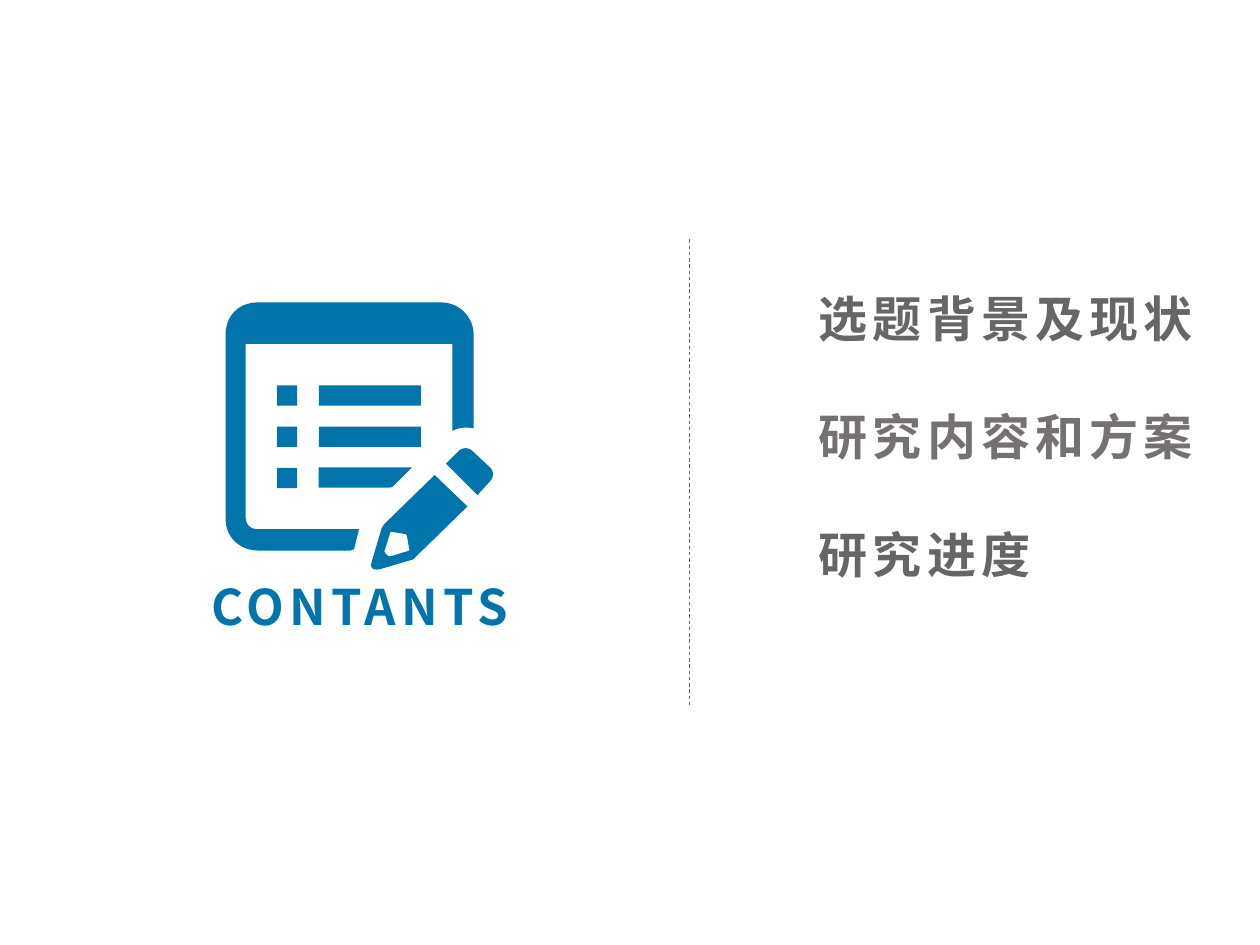
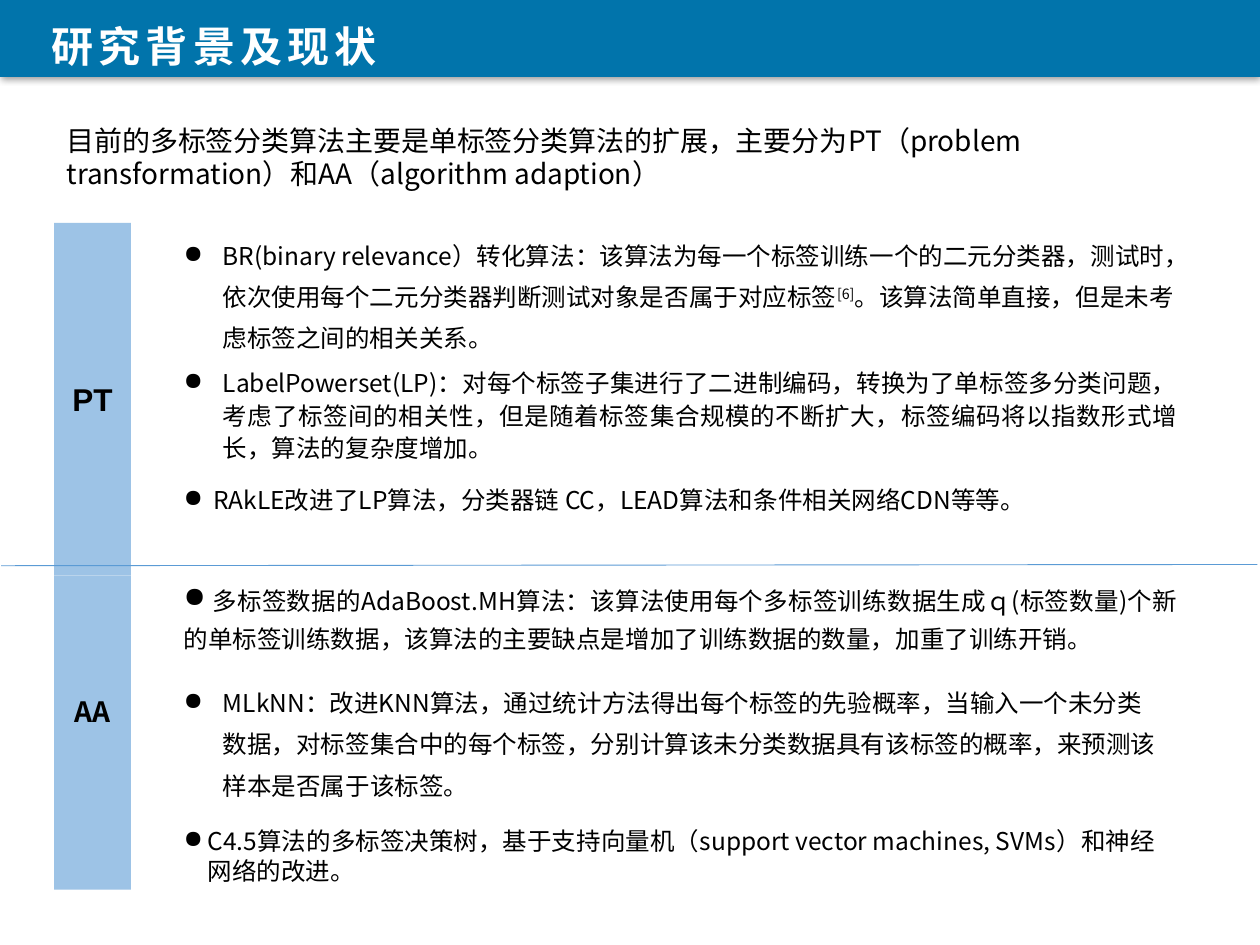
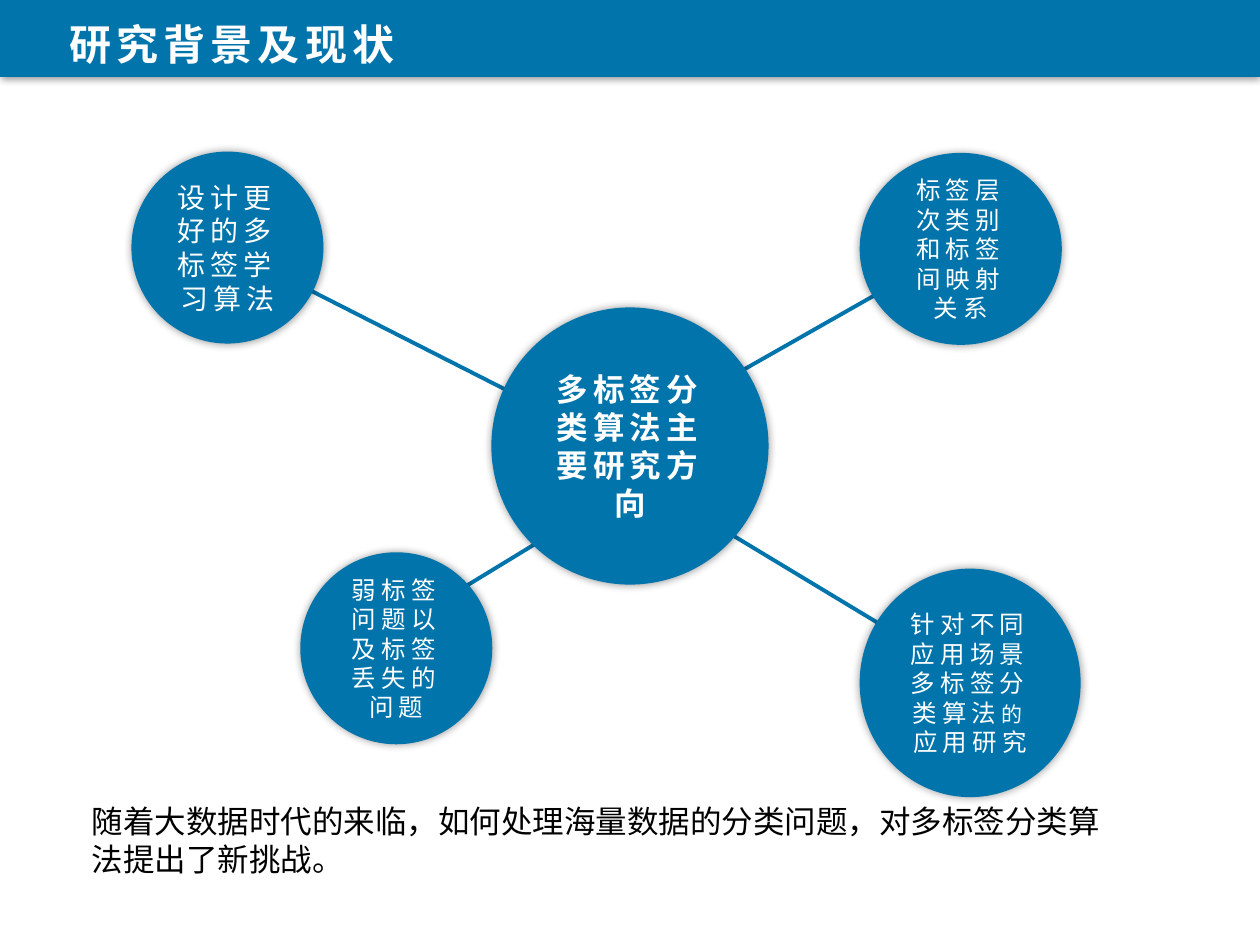
from lxml import etree
from pptx import Presentation
from pptx import util as u
from pptx.dml.color import RGBColor
from pptx.enum import dml, shapes, text
from pptx.oxml import ns

COLORS = {
    "blue": "0174AB", "sky": "9DC3E6", "rule": "5B9BD5", "white": "FFFFFF",
    "black": "000000", "grey": "666666", "warm": "767171",
}
CJK = "Noto Sans CJK SC"
LEFT, CENTER, JUSTIFY = text.PP_ALIGN.LEFT, text.PP_ALIGN.CENTER, text.PP_ALIGN.JUSTIFY
TOP, MIDDLE = text.MSO_ANCHOR.TOP, text.MSO_ANCHOR.MIDDLE
RECT, OVAL = shapes.MSO_SHAPE.RECTANGLE, shapes.MSO_SHAPE.OVAL


def color(name):
    return RGBColor.from_string(COLORS[name])


def child(parent, tag, **attrs):
    return etree.SubElement(parent, ns.qn(tag), {k: str(v) for k, v in attrs.items()})


def curve(start, ctrl1, ctrl2, end, steps=10):
    for i in range(1, steps + 1):
        t = i / steps
        weights = (1 - t) ** 3, 3 * t * (1 - t) ** 2, 3 * t * t * (1 - t), t ** 3
        yield tuple(sum(w * p[axis] for w, p in zip(weights, (start, ctrl1, ctrl2, end)))
                    for axis in (0, 1))


def outline(*steps):
    points = [steps[0]]
    for step in steps[1:]:
        if len(step) == 2:
            points.append(step)
        else:
            points.extend(curve(points[-1], step[:2], step[2:4], step[4:]))
    return points


class Deck:
    COLS, ROWS = 100, 75

    def __init__(self):
        self.prs = Presentation()
        self.prs.slide_width, self.prs.slide_height = u.Inches(10), u.Inches(7.5)
        self.s = None

    def slide(self):
        self.s = self.prs.slides.add_slide(self.prs.slide_layouts[6])

    def x(self, cols):
        return round(self.prs.slide_width * cols / self.COLS)

    def y(self, rows):
        return round(self.prs.slide_height * rows / self.ROWS)

    def box(self, at):
        left, top, width, height = at
        return self.x(left), self.y(top), self.x(width), self.y(height)

    def fill_text(self, tf, runs, size=14, ink="black", font=CJK, bold=False, spc=0,
                  align=LEFT, spacing=None, hang=None, anchor=TOP):
        tf.word_wrap = True
        tf.vertical_anchor = anchor
        p = tf.paragraphs[0]
        p.alignment = align
        if spacing:
            p.line_spacing = spacing
        if hang is not None:
            pPr = p._p.get_or_add_pPr()
            pPr.set("marL", str(self.x(hang)))
            pPr.set("indent", str(-self.x(hang)))
            child(pPr, "a:buChar", char="●")
        for run in [runs] if isinstance(runs, str) else runs:
            content, own = (run, {}) if isinstance(run, str) else run
            r = p.add_run()
            r.text = content
            r.font.size = u.Pt(own.get("size", size))
            r.font.name = font
            r.font.bold = bold
            r.font.color.rgb = color(ink)
            rPr = r._r.get_or_add_rPr()
            rPr.set("lang", "zh-CN")
            child(rPr, "a:ea", typeface=CJK)
            if spc:
                rPr.set("spc", str(spc * 100))
            if "base" in own:
                rPr.set("baseline", str(own["base"] * 1000))

    def text(self, at, runs, **style):
        self.fill_text(self.s.shapes.add_textbox(*self.box(at)).text_frame, runs, **style)

    def paint(self, sp, fill, edge=None):
        sp.shadow.inherit = False
        sp.fill.solid()
        sp.fill.fore_color.rgb = color(fill)
        if edge:
            sp.line.color.rgb = color(edge)
            sp.line.width = u.Pt(1)
        else:
            sp.line.fill.background()

    def shape(self, kind, at, fill, edge=None, shadow=None):
        sp = self.s.shapes.add_shape(kind, *self.box(at))
        self.paint(sp, fill, edge)
        if shadow:
            blur, dist, angle = shadow
            effects = sp._element.spPr.find(ns.qn("a:effectLst"))
            outer = child(effects, "a:outerShdw", blurRad=u.Pt(blur), dist=u.Pt(dist),
                          dir=angle * 60000, algn="ctr", rotWithShape=0)
            shade = child(outer, "a:srgbClr", val=COLORS["black"])
            child(shade, "a:alpha", val=40000)
        return sp

    def freeform(self, *contours):
        fb = None
        for contour in contours:
            points = [(self.x(cx), self.y(cy)) for cx, cy in contour]
            if fb is None:
                fb = self.s.shapes.build_freeform(*points[0])
            else:
                fb.move_to(*points[0])
            fb.add_line_segments(points[1:], close=True)
        self.paint(fb.convert_to_shape(), "blue")

    def line(self, start, end, ink="blue", width=2.25, dash=False):
        cx = self.s.shapes.add_connector(
            shapes.MSO_CONNECTOR.STRAIGHT, self.x(start[0]), self.y(start[1]),
            self.x(end[0]), self.y(end[1]))
        cx.line.color.rgb = color(ink)
        cx.line.width = u.Pt(width)
        if dash:
            cx.line.dash_style = dml.MSO_LINE.DASH
        child(cx._element.spPr, "a:effectLst")

    def header(self, title, at):
        self.shape(RECT, (0, 0, self.COLS, 6.1), "blue", shadow=(4, 1, 90))
        self.text(at, title, size=24, ink="white", font="Arial", bold=True, spc=3,
                  align=CENTER)

    def side_bar(self, label, top, height, size, font, lift=0):
        sp = self.shape(RECT, (4.3, top, 6.1, height), "sky")
        sp.text_frame.margin_bottom = u.Inches(0.05) + self.y(lift)
        self.fill_text(sp.text_frame, label, size=size, font=font, bold=True, align=CENTER,
                       anchor=MIDDLE)

    def bubble(self, at, runs, edge="blue", **style):
        sp = self.shape(OVAL, at, "blue", edge, shadow=(5, 0, 0))
        self.fill_text(sp.text_frame, runs, ink="white", font="Arial", spc=3, align=CENTER,
                       anchor=MIDDLE, **style)

    def notepad(self):
        self.freeform(outline(
            (28.5, 42), (28.1, 43.6), (27.8, 43.7), (20.5, 43.7),
            (19, 43.7, 17.9, 42.6, 17.9, 41.2), (17.9, 26.6),
            (17.9, 25.1, 18.9, 24, 20.5, 24), (35, 24),
            (36.4, 24, 37.6, 25.1, 37.6, 26.6), (37.6, 34),
            (37, 33.9, 36.5, 33.9, 35.9, 34.2), (35.9, 27.3), (19.5, 27.3),
            (19.5, 41), (19.5, 41.6, 19.8, 42, 20.5, 42)))
        for row in range(3):
            top = 30.6 + 3.27 * row
            self.shape(RECT, (22, top, 1.6, 1.6), "blue")
            if row < 2:
                self.shape(RECT, (25.3, top, 8.1, 1.6), "blue")
        self.freeform(outline((25.3, 37.1), (32.7, 37.1), (31.2, 38.6),
                              (31.1, 38.7, 31, 38.7, 30.9, 38.7), (25.3, 38.7)))
        self.freeform(
            outline((34.5, 37.7), (37.1, 40.2), (33.1, 44.1), (32.8, 44.4), (30.1, 45.2),
                    (29.9, 45.2, 29.3, 45.3, 29.5, 44.6), (30.3, 41.9), (30.5, 41.6)),
            outline((31, 42.2), (30.5, 43.8), (30.8, 44.2, 30.9, 44.2, 31.2, 44.1),
                    (32.5, 43.7), (32.3, 42.5), (32.2, 42.4)))
        self.freeform(outline((35.4, 36.8), (36.4, 35.8), (36.7, 35.5, 37.2, 35.5, 37.5, 35.8),
                              (38.9, 37.1), (39.2, 37.4, 39.2, 37.9, 38.9, 38.2),
                              (37.9, 39.3)))


def contents(d):
    d.slide()
    d.line((54.7, 19), (54.7, 56), ink="grey", width=0.5, dash=True)
    topics = ("选题背景及现状", "grey"), ("研究内容和方案", "warm"), ("研究进度", "grey")
    for i, (topic, ink) in enumerate(topics):
        d.text((64, 22.4 + 9.35 * i, 32.5, 6), topic, size=28, ink=ink, bold=True, spc=3)
    d.notepad()
    d.text((14, 45.3, 29.1, 5.7), "CONTANTS", size=28, ink="blue", bold=True, spc=3,
           align=CENTER)


def background(d):
    d.slide()
    d.header("研究背景及现状", (1.9, 1.1, 30.2, 5))
    d.text((4.3, 9.3, 91.3, 6.3),
           "目前的多标签分类算法主要是单标签分类算法的扩展，主要分为PT（problem transformation）"
           "和AA（algorithm adaption）", size=16)
    d.side_bar("PT", 17.7, 28, 18, "Arial")
    d.side_bar("AA", 45.7, 24.9, 16, CJK, lift=3.4)
    methods = (
        (17.7, 82, 10.8, dict(hang=3.1, spacing=1.4), [
            "BR(binary relevance）转化算法：该算法为每一个标签训练一个的二元分类器，测试时，"
            "依次使用每个二元分类器判断测试对象是否属于对应标签",
            ("[6]", dict(base=30)),
            "。该算法简单直接，但是未考虑标签之间的相关关系。"]),
        (28.5, 80.8, 8.7, dict(hang=3.1, spacing=1.1, align=JUSTIFY),
         "LabelPowerset(LP)：对每个标签子集进行了二进制编码，转换为了单标签多分类问题，"
         "考虑了标签间的相关性，但是随着标签集合规模的不断扩大，标签编码将以指数形式增长，"
         "算法的复杂度增加。"),
        (38, 78.7, 3.3, dict(hang=1.9, align=JUSTIFY),
         " RAkLE改进了LP算法，分类器链 CC，LEAD算法和条件相关网络CDN等等。"),
        (44.9, 80.8, 7.5, dict(hang=0, spacing=1.3, align=JUSTIFY), [
            (" ", dict(size=16)),
            "多标签数据的AdaBoost.MH算法：该算法使用每个多标签训练数据生成ｑ(标签数量)个"
            "新的单标签训练数据，该算法的主要缺点是增加了训练数据的数量，加重了训练开销。"]),
        (53.2, 79.9, 10.8, dict(hang=3.1, spacing=1.4),
         "MLkNN：改进KNN算法，通过统计方法得出每个标签的先验概率，当输入一个未分类数据，"
         "对标签集合中的每个标签，分别计算该未分类数据具有该标签的概率，来预测该样本是否"
         "属于该标签。"),
        (65.1, 80.8, 5.7, dict(hang=1.9),
         "C4.5算法的多标签决策树，基于支持向量机（support vector machines, SVMs）"
         "和神经网络的改进。"),
    )
    for top, width, height, style, runs in methods:
        d.text((13.6, top, width, height), runs, **style)
    d.line((0.1, 44.9), (99.8, 44.8), ink="rule", width=0.5)


def directions(d):
    d.slide()
    spokes = (
        ((20.6, 21), (45.2, 33.5)), ((35.7, 47.3), (46.7, 40.6)),
        ((71.6, 50.6), (53.7, 39.8)), ((71.6, 22.2), (56.8, 30.6)),
    )
    for start, end in spokes:
        d.line(start, end)
    d.bubble((39, 24.4, 22, 22), "多标签分类算法主要研究方向", edge=None, size=18, bold=True)
    d.bubble((68.3, 12.2, 15.9, 15.1), "标签层次类别和标签间映射关系")
    d.bubble((68.3, 45.2, 17.4, 18),
             ["针对不同应用场景多标签分类算法", ("的", dict(size=12)), "应用研究"])
    d.bubble((23.9, 43.9, 15.1, 15.1), "弱标签问题以及标签丢失的问题")
    d.bubble((10.5, 12.1, 15.1, 15.1), "设计更好的多标签学习算法", size=16)
    d.header("研究背景及现状", (0, 1, 36.8, 5))
    d.text((6.3, 63.2, 82.2, 7),
           "随着大数据时代的来临，如何处理海量数据的分类问题，对多标签分类算法提出了新挑战。",
           size=18, font="Calibri")


def main():
    d = Deck()
    contents(d)
    background(d)
    directions(d)
    d.prs.save("out.pptx")


if __name__ == "__main__":
    main()
